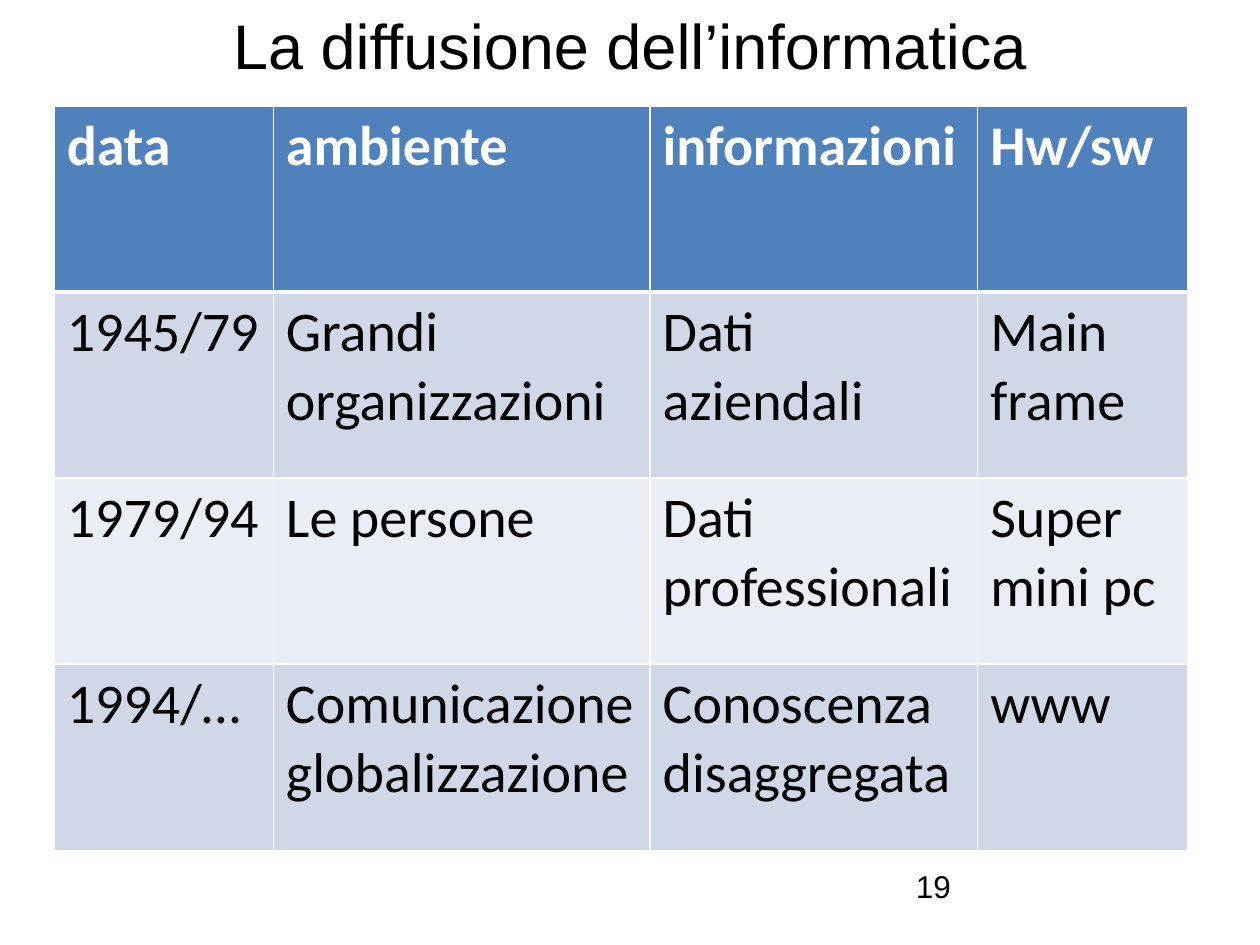
import lxml.etree
import pptx
import pptx.dml.color
import pptx.enum.text
import pptx.oxml.ns
import pptx.util

COLORS = {
    "ink": "000000",
    "white": "FFFFFF",
    "header": "4F81BD",
    "odd": "D0D8E8",
    "even": "E9EDF4",
}
ALIGN = pptx.enum.text.PP_ALIGN
ANCHOR = pptx.enum.text.MSO_ANCHOR

COLUMN_WIDTHS = [1.74, 2.99, 2.6, 1.67]
ROWS = [
    ["data", "ambiente", "informazioni", "Hw/sw"],
    ["1945/79", "Grandi organizzazioni", "Dati aziendali", "Main frame"],
    ["1979/94", "Le persone", "Dati professionali", "Super mini pc"],
    ["1994/…", "Comunicazione\nglobalizzazione", "Conoscenza disaggregata", "www"],
]


def rgb(name):
    return pptx.dml.color.RGBColor.from_string(COLORS[name])


class SlideBuilder:
    """Holds the style and the current slide; places are percentages of its size."""

    text_font = "Arial"
    table_font = "Calibri"

    def __init__(self, deck):
        self.deck = deck
        self.page = deck.slides.add_slide(deck.slide_layouts[6])

    def place(self, left, top, width, height):
        across, down = self.deck.slide_width / 100, self.deck.slide_height / 100
        return [round(left * across), round(top * down),
                round(width * across), round(height * down)]

    def format_text(self, frame, font, size, color, bold=False, align=ALIGN.LEFT):
        for para in frame.paragraphs:
            para.alignment = align
            for span in para.runs:
                span.font.name = font
                span.font.size = pptx.util.Pt(size)
                span.font.bold = bold
                span.font.color.rgb = rgb(color)

    def text(self, words, area, size, align=ALIGN.LEFT, anchor=ANCHOR.TOP):
        box = self.page.shapes.add_textbox(*self.place(*area))
        frame = box.text_frame
        frame.word_wrap = True
        frame.vertical_anchor = anchor
        frame.text = words
        self.format_text(frame, self.text_font, size, "ink", align=align)

    def borders(self, cell, bottom):
        properties = cell._tc.get_or_add_tcPr()
        qn = pptx.oxml.ns.qn
        for side, points in (("L", 1), ("R", 1), ("T", 1), ("B", bottom)):
            line = lxml.etree.SubElement(
                properties, qn("a:ln" + side), w=str(pptx.util.Pt(points)))
            fill = lxml.etree.SubElement(line, qn("a:solidFill"))
            lxml.etree.SubElement(fill, qn("a:srgbClr"), val=COLORS["white"])

    def cell(self, cell, words, row):
        is_header = row == 0
        cell.text = words
        self.format_text(cell.text_frame, self.table_font, 32,
                         "white" if is_header else "ink", bold=is_header)
        # Borders come before the fill in the cell properties
        self.borders(cell, bottom=3 if is_header else 1)
        cell.fill.solid()
        band = "odd" if row % 2 else "even"
        cell.fill.fore_color.rgb = rgb("header" if is_header else band)

    def table(self, rows, widths, area):
        left, top, width, height = self.place(*area)
        table = self.page.shapes.add_table(
            len(rows), len(widths), left, top, width, height).table
        # Setting a column also resizes the frame, so shares use the fixed width
        for column, share in zip(table.columns, widths):
            column.width = round(width * share / sum(widths))
        for r, row in enumerate(rows):
            for c, words in enumerate(row):
                self.cell(table.cell(r, c), words, r)


def main():
    deck = pptx.Presentation()
    deck.slide_width = pptx.util.Inches(10)
    deck.slide_height = pptx.util.Inches(7.5)
    slide = SlideBuilder(deck)

    # Title
    slide.text("La diffusione dell’informatica", (5, 0, 90, 9.3), 36,
               ALIGN.CENTER, ANCHOR.MIDDLE)
    # Eras of computing
    slide.table(ROWS, COLUMN_WIDTHS, (4.3, 11.2, 90, 78.8))
    # Page number
    slide.text("19", (71.7, 91.1, 23.3, 7), 18)

    deck.save("out.pptx")


if __name__ == "__main__":
    main()
